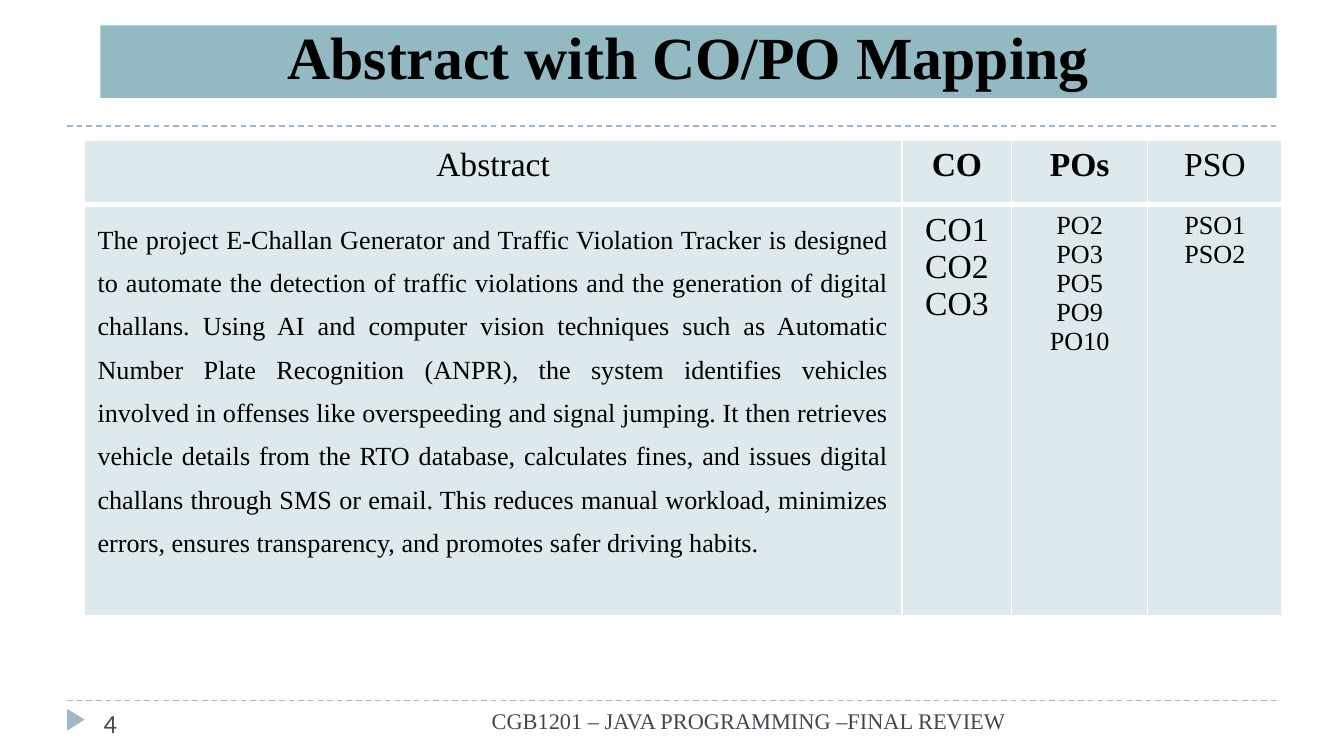
from lxml import etree
from pptx import Presentation
from pptx.dml.color import RGBColor
from pptx.enum import dml, shapes, text
from pptx.oxml import ns
from pptx.util import Cm, Pt

BLACK = RGBColor(0x00, 0x00, 0x00)
WHITE = RGBColor(0xFF, 0xFF, 0xFF)
TEAL = RGBColor(0x93, 0xB9, 0xC3)
PALE_TEAL = RGBColor(0xDD, 0xE9, 0xEC)
RULE_BLUE = RGBColor(0x9F, 0xB8, 0xCD)
SLATE = RGBColor(0x46, 0x46, 0x53)

SERIF = "Times New Roman"
LEFT, CENTER, RIGHT, JUSTIFY = (
    text.PP_ALIGN.LEFT, text.PP_ALIGN.CENTER, text.PP_ALIGN.RIGHT, text.PP_ALIGN.JUSTIFY)

ABSTRACT = (
    "The project E-Challan Generator and Traffic Violation Tracker is designed to automate "
    "the detection of traffic violations and the generation of digital challans. Using AI and "
    "computer vision techniques such as Automatic Number Plate Recognition (ANPR), the system "
    "identifies vehicles involved in offenses like overspeeding and signal jumping. It then "
    "retrieves vehicle details from the RTO database, calculates fines, and issues digital "
    "challans through SMS or email. This reduces manual workload, minimizes errors, ensures "
    "transparency, and promotes safer driving habits."
)

# Column width in cm, heading, heading is bold, body, body size, body alignment, line spacing
COLUMNS = [
    (15.46, "Abstract", False, ABSTRACT, 14, JUSTIFY, 1.5),
    (2.07, "CO", True, "CO1\nCO2\nCO3", 18, CENTER, 1),
    (2.57, "POs", True, "PO2\nPO3\nPO5\nPO9\nPO10", 14, CENTER, 1),
    (2.54, "PSO", False, "PSO1\nPSO2", 14, CENTER, 1),
]
ROW_HEIGHTS = (1.22, 7.77)


def write(frame, words, size, color, align, bold=False, font=SERIF, spacing=1):
    frame.text = words
    frame.word_wrap = True
    for para in frame.paragraphs:
        para.alignment = align
        para.line_spacing = spacing
        for span in para.runs:
            span.font.name = font
            span.font.size = Pt(size)
            span.font.bold = bold
            span.font.color.rgb = color


def add_dashed_rule(page, top):
    rule = page.shapes.add_connector(
        shapes.MSO_CONNECTOR.STRAIGHT, Cm(1.27), Cm(top), Cm(24.13), Cm(top))
    rule.line.color.rgb = RULE_BLUE
    rule.line.width = Pt(0.75)
    rule.line.dash_style = dml.MSO_LINE.DASH
    etree.SubElement(rule._element.spPr, ns.qn("a:effectLst"))


def add_filled_shape(page, kind, left, top, width, height, color):
    shape = page.shapes.add_shape(kind, Cm(left), Cm(top), Cm(width), Cm(height))
    shape.shadow.inherit = False
    shape.fill.solid()
    shape.fill.fore_color.rgb = color
    shape.line.fill.background()
    return shape


def add_label(page, left, top, width, height, words, **style):
    box = page.shapes.add_textbox(Cm(left), Cm(top), Cm(width), Cm(height))
    write(box.text_frame, words, color=SLATE, **style)


def set_borders(cell, top, bottom):
    """Draw white borders: 1 pt at the sides, the given widths above and below."""
    properties = cell._tc.get_or_add_tcPr()
    for index, (side, width) in enumerate((("L", 1), ("R", 1), ("T", top), ("B", bottom))):
        line = etree.Element(ns.qn(f"a:ln{side}"), w=str(Pt(width)))
        fill = etree.SubElement(line, ns.qn("a:solidFill"))
        etree.SubElement(fill, ns.qn("a:srgbClr"), val=str(WHITE))
        properties.insert(index, line)


def fill_cell(cell, words, top, bottom, **style):
    cell.fill.solid()
    cell.fill.fore_color.rgb = PALE_TEAL
    write(cell.text_frame, words, color=BLACK, **style)
    set_borders(cell, top, bottom)


def add_mapping_table(page):
    total_width = sum(column[0] for column in COLUMNS)
    table = page.shapes.add_table(
        len(ROW_HEIGHTS), len(COLUMNS), Cm(1.59), Cm(2.65),
        Cm(total_width), Cm(sum(ROW_HEIGHTS))).table
    for row, height in zip(table.rows, ROW_HEIGHTS):
        row.height = Cm(height)
    for index, (width, heading, bold, body, size, align, spacing) in enumerate(COLUMNS):
        table.columns[index].width = Cm(width)
        fill_cell(table.cell(0, index), heading, top=1, bottom=3,
                  size=18, align=CENTER, bold=bold)
        fill_cell(table.cell(1, index), body, top=3, bottom=1,
                  size=size, align=align, spacing=spacing)


def main():
    deck = Presentation()
    deck.slide_width, deck.slide_height = Cm(25.4), Cm(14.29)
    page = deck.slides.add_slide(deck.slide_layouts[6])

    for top in (13.24, 2.38):
        add_dashed_rule(page, top)
    marker = add_filled_shape(
        page, shapes.MSO_SHAPE.ISOSCELES_TRIANGLE, 1.23, 13.44, 0.41, 0.33, RULE_BLUE)
    marker.rotation = 90

    title = add_filled_shape(page, shapes.MSO_SHAPE.RECTANGLE, 1.9, 0.48, 22.23, 1.37, TEAL)
    title.text_frame.vertical_anchor = text.MSO_ANCHOR.BOTTOM
    write(title.text_frame, "Abstract with CO/PO Mapping", 32, BLACK, CENTER, bold=True)

    add_label(page, 7.83, 13.25, 11.43, 1.04, "CGB1201 – JAVA PROGRAMMING –FINAL REVIEW",
              size=12, align=RIGHT)
    add_label(page, 1.71, 13.25, 5.51, 0.76, "4", size=14, align=LEFT, font="Calibri")
    add_mapping_table(page)

    deck.save("out.pptx")


if __name__ == "__main__":
    main()
